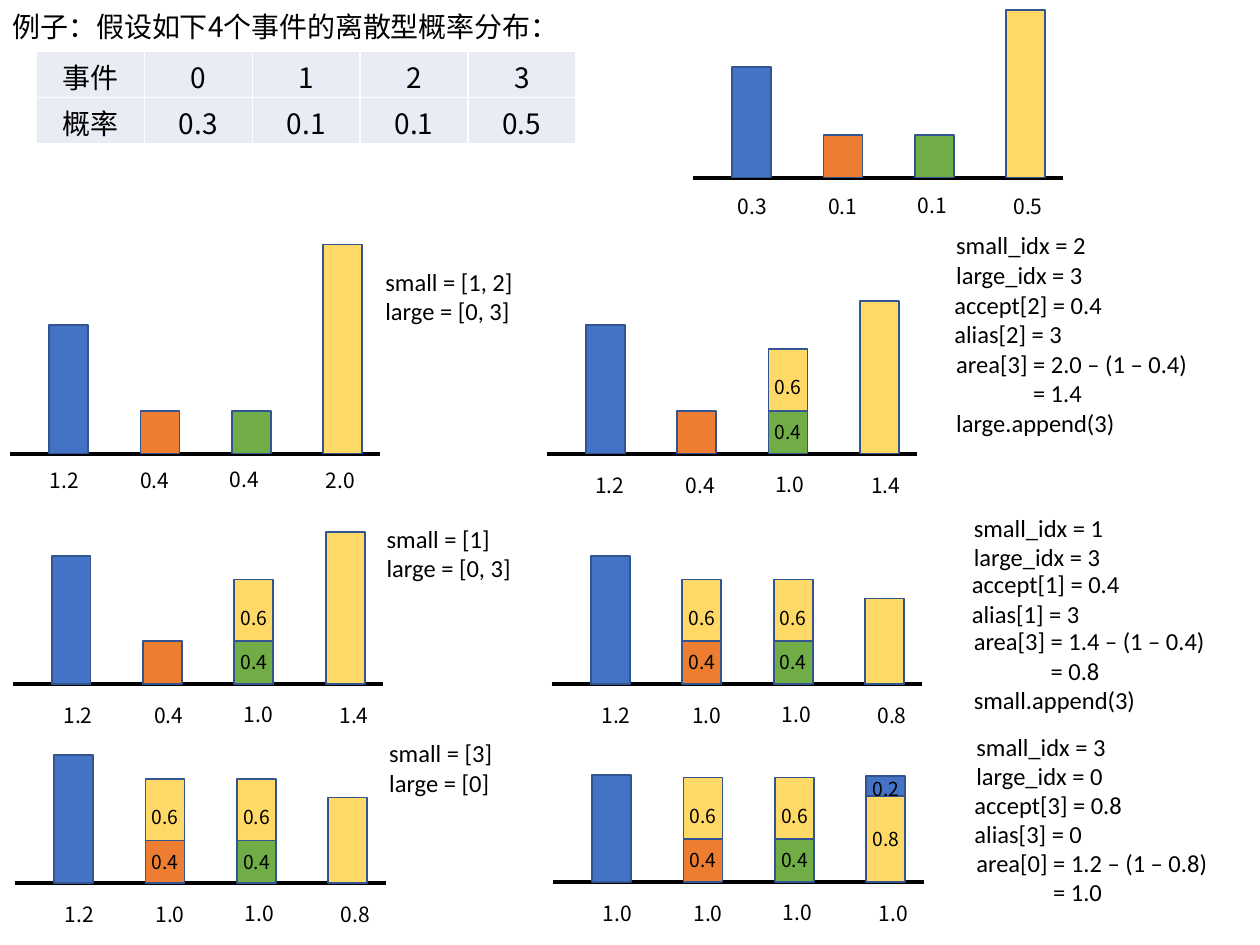
from lxml import etree
from pptx import Presentation
from pptx.dml.color import RGBColor
from pptx.enum.shapes import MSO_CONNECTOR, MSO_SHAPE
from pptx.enum.text import MSO_ANCHOR, MSO_AUTO_SIZE, PP_ALIGN
from pptx.oxml.ns import qn
from pptx.util import Inches, Pt

LEFT, CENTER = PP_ALIGN.LEFT, PP_ALIGN.CENTER
RECTANGLE, STRAIGHT = MSO_SHAPE.RECTANGLE, MSO_CONNECTOR.STRAIGHT
MIDDLE, NO_FIT = MSO_ANCHOR.MIDDLE, MSO_AUTO_SIZE.NONE

BLACK = RGBColor(0x00, 0x00, 0x00)
OUTLINE = RGBColor(0x32, 0x54, 0x91)
CELL_FILL = RGBColor(0xE9, 0xEB, 0xF5)
BLUE = RGBColor(0x44, 0x72, 0xC4)
ORANGE = RGBColor(0xED, 0x7D, 0x31)
GREEN = RGBColor(0x70, 0xAD, 0x47)
YELLOW = RGBColor(0xFF, 0xD9, 0x66)
EVENT_COLORS = (BLUE, ORANGE, GREEN, YELLOW)

CJK_FONT, CODE_FONT = "Noto Sans CJK SC", "Calibri"
COLUMNS, ROWS = 100, 75

# Bar height in grid rows for each probability or area
BAR_HEIGHTS = {0.1: 3.4, 0.2: 1.6, 0.3: 8.8, 0.4: 3.4, 0.5: 13.3, 0.6: 4.9,
               0.8: 6.8, 1.0: 8.5, 1.2: 10.2, 1.4: 12.1, 2.0: 16.6}
SEGMENT_LABEL_DROP = {0.6: 0.6, 0.2: 0.25}
AXIS_LENGTH, BAR_WIDTH, FIRST_BAR, BAR_STEP = 29.4, 3.1, 3.1, 7.25
LABEL_STEPS = ((0, 0), (7.2, 0), (14.3, -0.1), (21.9, 0))

# Each bar is a stack of (event, value) segments, from the axis upwards
ORANGE_FILLED = ((1, 0.4), (3, 0.6))
GREEN_FILLED = ((2, 0.4), (3, 0.6))
BLUE_BAR, ORANGE_BAR, GREEN_BAR = ((0, 1.2),), ((1, 0.4),), ((2, 0.4),)

# Axis left, axis row, first label offset, label drop, bars
CHARTS = (
    (55, 14.1, 2.5, 0.8, (((0, 0.3),), ((1, 0.1),), ((2, 0.1),), ((3, 0.5),))),
    (0.8, 36, 2.1, 0.6, (BLUE_BAR, ORANGE_BAR, GREEN_BAR, ((3, 2.0),))),
    (43.4, 36, 2.8, 1, (BLUE_BAR, ORANGE_BAR, GREEN_FILLED, ((3, 1.4),))),
    (1, 54.3, 3, 1, (BLUE_BAR, ORANGE_BAR, GREEN_FILLED, ((3, 1.4),))),
    (43.8, 54.3, 2.9, 1, (BLUE_BAR, ORANGE_FILLED, GREEN_FILLED, ((3, 0.8),))),
    (1.2, 70.1, 2.9, 1, (BLUE_BAR, ORANGE_FILLED, GREEN_FILLED, ((3, 0.8),))),
    (43.9, 70, 2.9, 1,
     (((0, 1.0),), ORANGE_FILLED, GREEN_FILLED, ((3, 0.8), (0, 0.2)))),
)

# Left, top, width, lines
QUEUES = (
    (29.6, 20.7, 12.2, ("small = [1, 2]", "large = [0, 3]")),
    (29.7, 41.1, 12, ("small = [1]", "large = [0, 3]")),
    (29.9, 58.1, 10.5, ("small = [3]", "large = [0]")),
)

# Left, top, distance between blocks, blocks
STEPS = (
    (74.9, 17.8, 4.7, (("small_idx = 2", "large_idx = 3"),
                       ("accept[2] = 0.4", "alias[2] = 3"),
                       ("area[3] = 2.0 – (1 – 0.4)", "= 1.4", "large.append(3)"))),
    (76.3, 40.2, 4.5, (("small_idx = 1", "large_idx = 3"),
                       ("accept[1] = 0.4", "alias[1] = 3"),
                       ("area[3] = 1.4 – (1 – 0.4)", "= 0.8", "small.append(3)"))),
    (76.5, 57.6, 4.6, (("small_idx = 3", "large_idx = 0"),
                       ("accept[3] = 0.8", "alias[3] = 0"),
                       ("area[0] = 1.2 – (1 – 0.8)", "= 1.0"))),
)
BLOCK_SHAPES = ((0, 12.5), (-0.15, 13.8), (0, 20.5))


class SlideBuilder:
    """Places elements on a grid of 100 columns by 75 rows."""

    def __init__(self, deck):
        self.column = deck.slide_width / COLUMNS
        self.row = deck.slide_height / ROWS
        self.page = deck.slides.add_slide(deck.slide_layouts[5])

    def place(self, left, top, width, height):
        return (round(left * self.column), round(top * self.row),
                round(width * self.column), round(height * self.row))

    def style(self, frame, size, font, align):
        for para in frame.paragraphs:
            para.alignment = align
            for span in para.runs:
                span.font.size, span.font.name = Pt(size), font
                span.font.color.rgb = BLACK
                east_asian = etree.SubElement(span.font._element, qn("a:ea"))
                east_asian.set("typeface", font)

    def title(self, text, *area):
        box = self.page.shapes.title
        box.left, box.top, box.width, box.height = self.place(*area)
        frame = box.text_frame
        frame.text = text
        frame.word_wrap, frame.auto_size = False, NO_FIT
        frame.vertical_anchor = MIDDLE
        frame.margin_top = frame.margin_bottom = 0
        self.style(frame, 16, CJK_FONT, LEFT)

    def text(self, lines, area, size, font=CJK_FONT, align=CENTER):
        frame = self.page.shapes.add_textbox(*self.place(*area)).text_frame
        frame.text = "\n".join(lines)
        frame.word_wrap = False
        self.style(frame, size, font, align)
        for para in frame.paragraphs:
            if para.text.startswith("="):
                para._p.get_or_add_pPr().set("marL", str(Inches(0.61)))

    def table(self, rows, *area):
        shape = self.page.shapes.add_table(len(rows), len(rows[0]), *self.place(*area))
        table = shape.table
        table.first_row = table.horz_banding = False
        for r, values in enumerate(rows):
            for c, value in enumerate(values):
                cell = table.cell(r, c)
                cell.text = value
                cell.margin_top, cell.margin_bottom = Inches(0.04), 0
                self.style(cell.text_frame, 16, CJK_FONT, CENTER)
                self.border(cell)
                cell.fill.solid()
                cell.fill.fore_color.rgb = CELL_FILL

    def border(self, cell):
        for side in ("lnL", "lnR", "lnT", "lnB"):
            line = etree.SubElement(cell._tc.get_or_add_tcPr(), qn(f"a:{side}"))
            line.set("w", str(Pt(1)))
            fill = etree.SubElement(line, qn("a:solidFill"))
            etree.SubElement(fill, qn("a:srgbClr")).set("val", "FFFFFF")

    def axis(self, left, top):
        x, y, length, _ = self.place(left, top, AXIS_LENGTH, 0)
        line = self.page.shapes.add_connector(STRAIGHT, x, y, x + length, y)
        line.line.color.rgb, line.line.width = BLACK, Pt(2.25)
        etree.SubElement(line._element.spPr, qn("a:effectLst"))

    def bar(self, color, *area):
        shape = self.page.shapes.add_shape(RECTANGLE, *self.place(*area))
        shape.shadow.inherit = False
        shape.fill.solid()
        shape.fill.fore_color.rgb = color
        shape.line.color.rgb, shape.line.width = OUTLINE, Pt(1)

    def stack(self, left, base, segments):
        """Draw segments upwards from base; label them if there are several."""
        for event, value in segments:
            height = BAR_HEIGHTS[value]
            base -= height
            self.bar(EVENT_COLORS[event], left, base, BAR_WIDTH, height)
            if len(segments) > 1:
                top = base + height / 2 - 1.45 + SEGMENT_LABEL_DROP.get(value, 0)
                self.text([f"{value}"], (left - 0.55, top, 4.2, 2.9), 11)

    def chart(self, left, base, label_left, label_drop, bars):
        self.axis(left, base)
        for i, segments in enumerate(bars):
            self.stack(left + FIRST_BAR + i * BAR_STEP, base, segments)
            across, down = LABEL_STEPS[i]
            total = sum(value for _, value in segments)
            area = (left + label_left + across, base + label_drop + down, 4.4, 3)
            self.text([f"{total:.1f}"], area, 12)

    def code(self, lines, left, top, width):
        height = 1 + 2.36 * len(lines)
        self.text(lines, (left, top, width, height), 14, CODE_FONT, LEFT)


def main():
    deck = Presentation()
    deck.slide_width, deck.slide_height = Inches(10), Inches(7.5)
    slide = SlideBuilder(deck)
    slide.title("例子：假设如下4个事件的离散型概率分布：", 0, 0.2, 46, 3.7)
    slide.table((("事件", "0", "1", "2", "3"), ("概率", "0.3", "0.1", "0.1", "0.5")),
                2.9, 4.1, 42.8, 7.3)
    for chart in CHARTS:
        slide.chart(*chart)
    for left, top, width, lines in QUEUES:
        slide.code(lines, left, top, width)
    for left, top, pitch, blocks in STEPS:
        for i, (lines, (shift, width)) in enumerate(zip(blocks, BLOCK_SHAPES)):
            slide.code(lines, left + shift, top + i * pitch, width)
    deck.save("out.pptx")


if __name__ == "__main__":
    main()
